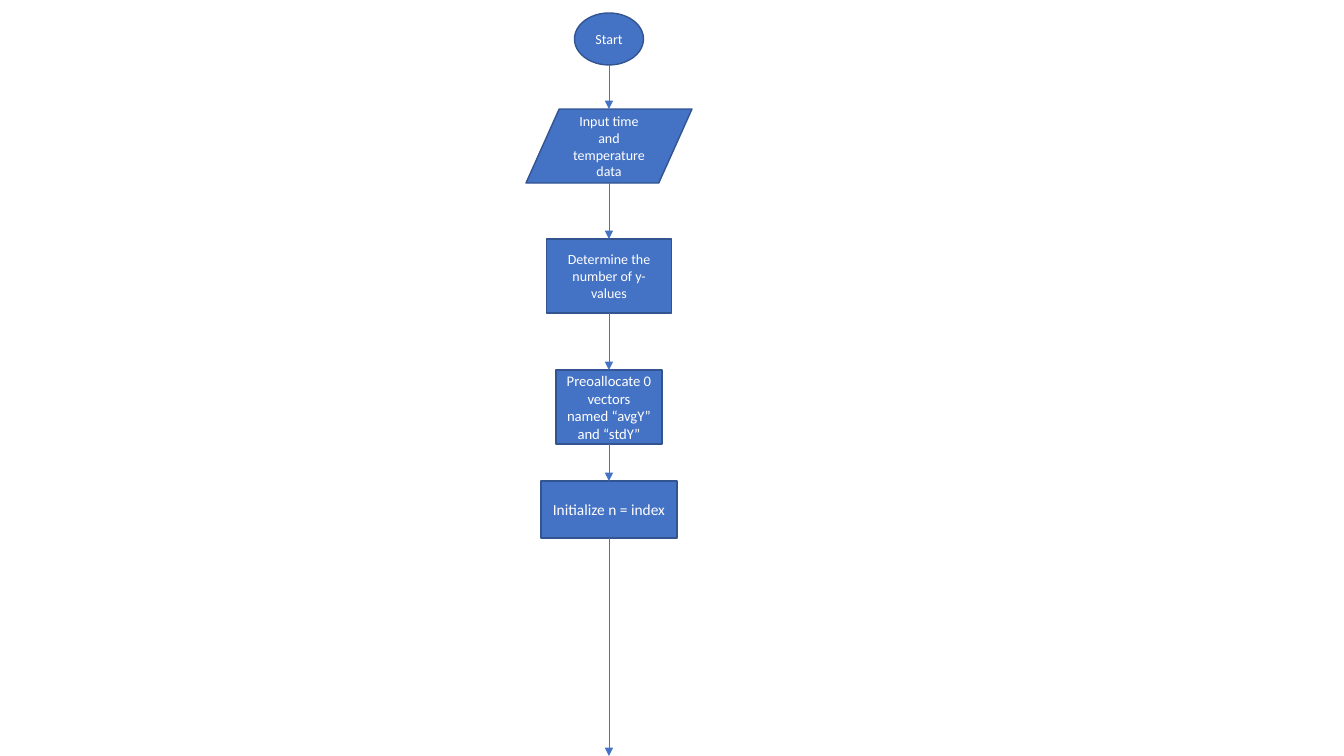
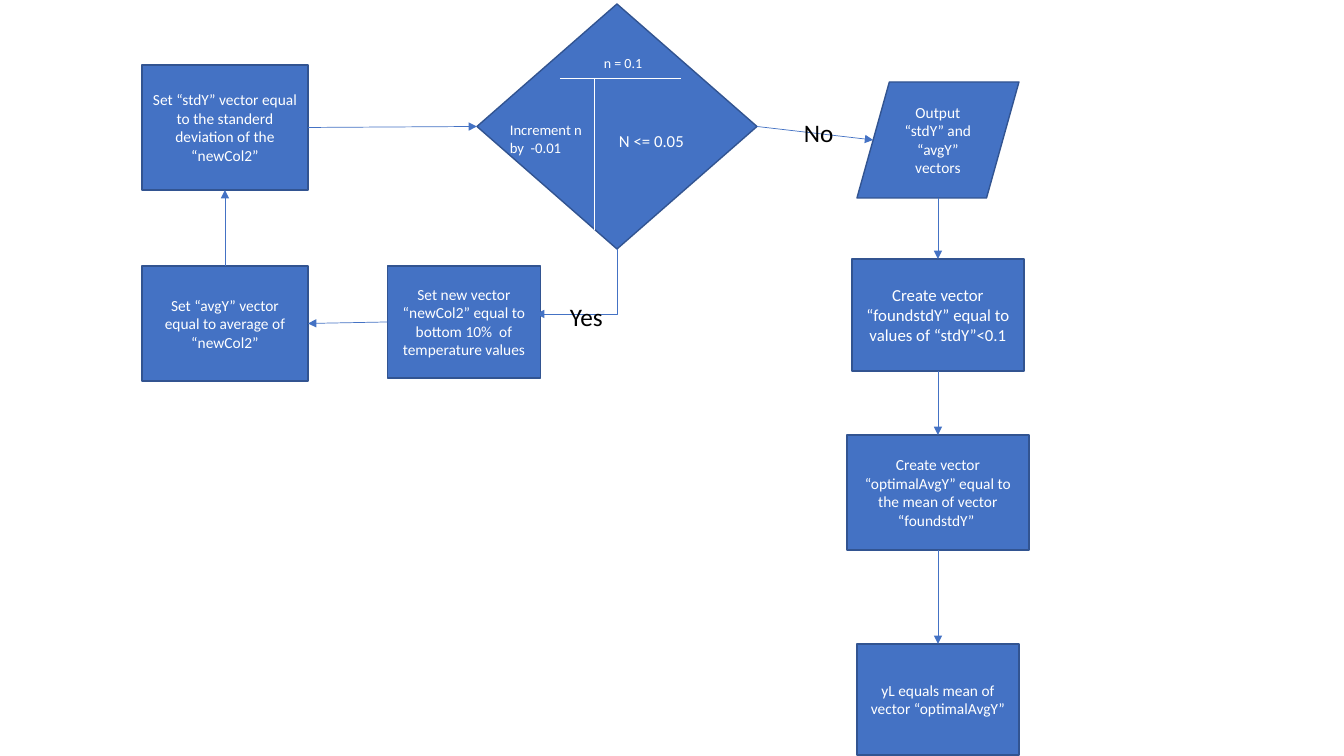
from collections import namedtuple
from lxml import etree
from pptx import Presentation
from pptx import util as u
from pptx.dml.color import RGBColor
from pptx.enum import shapes, text
from pptx.oxml import ns

THEME = {
    "font": "Calibri",
    "fill": "4472C4",
    "edge": "325491",
    "light": "FFFFFF",
    "dark": "000000",
    "edge_width": 1,
    "link_width": 0.5,
    "small": 10,
    "note": 10.5,
    "body": 11,
    "large": 12,
    "branch": 18,
}
SCALE = 914400 / 100.8
WIDTH, HEIGHT = 1344, 756

PROCESS = shapes.MSO_SHAPE.RECTANGLE
START = shapes.MSO_SHAPE.OVAL
DATA = shapes.MSO_SHAPE.FLOWCHART_DATA
DECISION = shapes.MSO_SHAPE.FLOWCHART_DECISION

Step = namedtuple("Step", "kind center top width height size words")
Label = namedtuple("Label", "left top width height size color words")

SETUP_AXIS, LOOP_AXIS, TEST_AXIS, RESULT_AXIS = 609, 225, 617, 938

SETUP = {
    "start": Step(START, SETUP_AXIS, 13, 69, 52, "small", "Start"),
    "input": Step(DATA, SETUP_AXIS, 109, 166, 74, "small", "Input time and temperature data"),
    "count": Step(PROCESS, SETUP_AXIS, 239, 125, 74, "small", "Determine the number of y-values"),
    "vectors": Step(PROCESS, SETUP_AXIS, 370, 106, 74, "note",
                    "Preoallocate 0 vectors named “avgY” and “stdY”"),
    "index": Step(PROCESS, SETUP_AXIS, 481, 136, 57, "body", "Initialize n = index"),
}
SETUP_LINKS = [
    ("start", "bottom", "input", "top"),
    ("input", "bottom", "count", "top"),
    ("count", "bottom", "vectors", "top"),
    ("vectors", "bottom", "index", "top"),
]

LOOP = {
    "test": Step(DECISION, TEST_AXIS, 4, 280, 245, "body", ""),
    "column": Step(PROCESS, 464, 266, 153, 112, "body",
                   "Set new vector “newCol2” equal to bottom 10%  of temperature values"),
    "average": Step(PROCESS, LOOP_AXIS, 266, 166, 115, "body",
                    "Set “avgY” vector equal to average of “newCol2”"),
    "deviation": Step(PROCESS, LOOP_AXIS, 65, 166, 125, "body",
                      "Set “stdY” vector equal to the standerd deviation of the “newCol2”"),
    "output": Step(DATA, RESULT_AXIS, 82, 162, 116, "body", "Output “stdY” and “avgY” vectors"),
    "found": Step(PROCESS, RESULT_AXIS, 259, 172, 112, "large",
                  "Create vector “foundstdY” equal to values of “stdY”<0.1"),
    "optimal": Step(PROCESS, RESULT_AXIS, 435, 182, 115, "body",
                    "Create vector “optimalAvgY” equal to the mean of vector “foundstdY” "),
    "result": Step(PROCESS, RESULT_AXIS, 644, 162, 111, "body",
                   "yL equals mean of vector “optimalAvgY”"),
}
LOOP_LINKS = [
    ("column", "left", "average", "right"),
    ("average", "top", "deviation", "bottom"),
    ("deviation", "right", "test", "left"),
    ("test", "right", "output", "left"),
    ("output", "bottom", "found", "top"),
    ("found", "bottom", "optimal", "top"),
    ("optimal", "bottom", "result", "top"),
]
LOOP_LABELS = [
    Label(594, 50, 79, 27, "small", "light", "n = 0.1"),
    Label(609, 126, 96, 30, "large", "light", "N <= 0.05"),
    Label(500, 116, 94, 45, "note", "light", "Increment n by  -0.01"),
    Label(560, 296, 57, 40, "branch", "dark", "Yes"),
    Label(794, 112, 63, 40, "branch", "dark", "No"),
]
TEST_RULES = [((560, 78), (681, 78)), ((594, 78), (594, 230))]
YES_END = (536, 314)


def px(*lengths):
    return [u.Emu(round(length * SCALE)) for length in lengths]


def color(name):
    return RGBColor.from_string(THEME[name])


def apply(target, values):
    for key, value in values.items():
        setattr(target, key, value)


def write(frame, words, size, tone, align, anchor):
    apply(frame, {"word_wrap": True, "vertical_anchor": anchor})
    line = frame.paragraphs[0]
    line.alignment = align
    run = line.add_run()
    run.text = words
    apply(run.font, {"name": THEME["font"], "size": u.Pt(THEME[size])})
    run.font.color.rgb = color(tone)


def add_step(slide, step):
    box = slide.shapes.add_shape(
        step.kind, *px(step.center - step.width / 2, step.top, step.width, step.height))
    box.shadow.inherit = False
    box.fill.solid()
    box.fill.fore_color.rgb = color("fill")
    box.line.color.rgb = color("edge")
    box.line.width = u.Pt(THEME["edge_width"])
    if step.words:
        write(box.text_frame, step.words, step.size, "light",
              text.PP_ALIGN.CENTER, text.MSO_ANCHOR.MIDDLE)


def add_label(slide, label):
    box = slide.shapes.add_textbox(*px(label.left, label.top, label.width, label.height))
    write(box.text_frame, label.words, label.size, label.color,
          text.PP_ALIGN.LEFT, text.MSO_ANCHOR.TOP)


def add_line(slide, begin, end, tone="fill", arrow=True, kind=shapes.MSO_CONNECTOR.STRAIGHT):
    link = slide.shapes.add_connector(kind, *px(*begin, *end))
    link.line.color.rgb = color(tone)
    link.line.width = u.Pt(THEME["link_width"])
    if arrow:
        etree.SubElement(link.line._get_or_add_ln(), ns.qn("a:tailEnd"), type="triangle")
    etree.SubElement(link._element.spPr, ns.qn("a:effectLst"))
    return link


def add_corner(slide, begin, end):
    across, down = begin[0] - end[0], end[1] - begin[1]
    middle_x, middle_y = (begin[0] + end[0]) / 2, (begin[1] + end[1]) / 2
    link = add_line(slide, (middle_x - down / 2, middle_y - across / 2),
                    (middle_x + down / 2, middle_y + across / 2),
                    kind=shapes.MSO_CONNECTOR.ELBOW)
    outline = link._element.spPr
    outline.find(ns.qn("a:xfrm")).set("rot", "5400000")
    outline.find(ns.qn("a:prstGeom")).set("prst", "bentConnector2")


def side_point(step, side):
    slant = step.width / 10 if step.kind == DATA else 0
    half = step.width / 2 - slant
    middle = step.top + step.height / 2
    return {
        "top": (step.center, step.top),
        "bottom": (step.center, step.top + step.height),
        "left": (step.center - half, middle),
        "right": (step.center + half, middle),
    }[side]


def add_flow(deck, steps, links):
    slide = deck.slides.add_slide(deck.slide_layouts[6])
    for step in steps.values():
        add_step(slide, step)
    for source, leaving, goal, entering in links:
        add_line(slide, side_point(steps[source], leaving), side_point(steps[goal], entering))
    return slide


deck = Presentation()
deck.slide_width, deck.slide_height = px(WIDTH, HEIGHT)

setup = add_flow(deck, SETUP, SETUP_LINKS)
add_line(setup, side_point(SETUP["index"], "bottom"), (SETUP_AXIS, HEIGHT))

loop = add_flow(deck, LOOP, LOOP_LINKS)
for begin, end in TEST_RULES:
    add_line(loop, begin, end, "light", arrow=False)
add_corner(loop, side_point(LOOP["test"], "bottom"), YES_END)
for label in LOOP_LABELS:
    add_label(loop, label)

deck.save("out.pptx")
